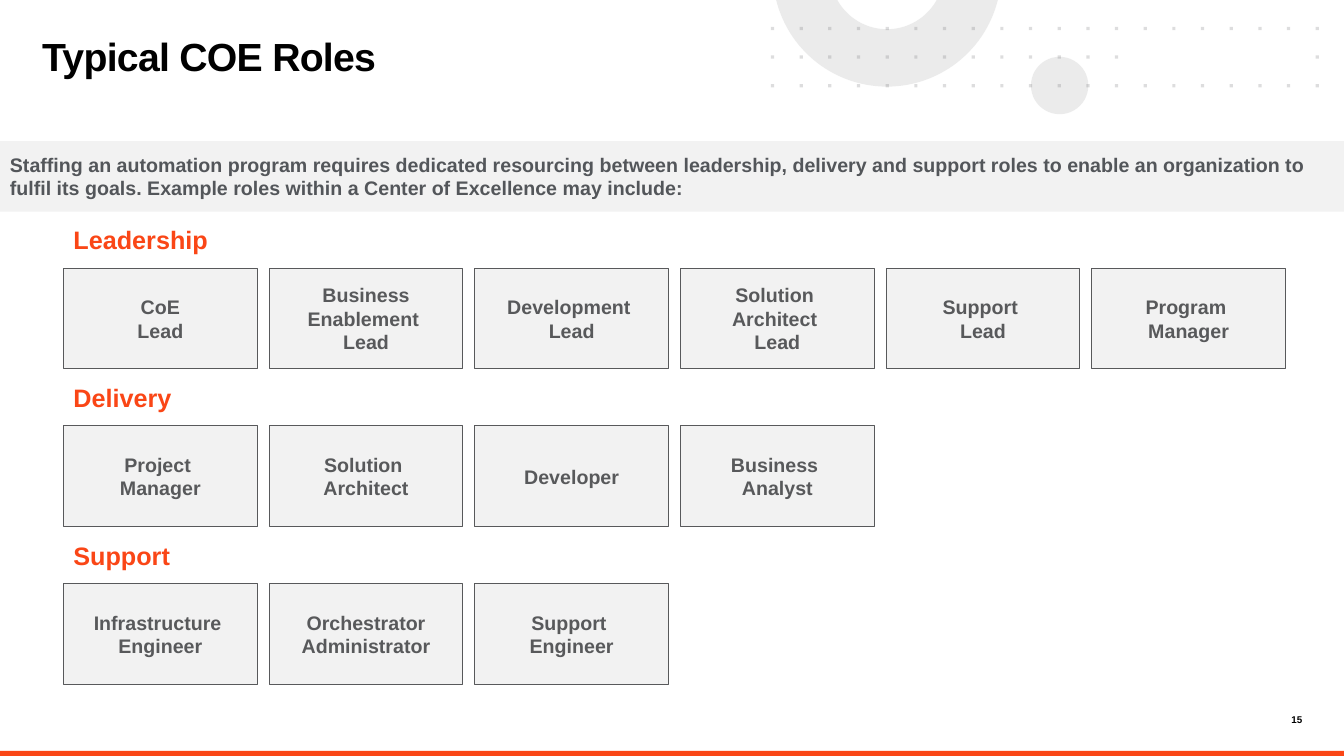
"""Build the slide of typical COE roles, grouped by leadership, delivery and support."""
import math

from lxml import etree
from pptx import Presentation, util as u
from pptx.dml.color import RGBColor
from pptx.enum import shapes, text
from pptx.oxml import ns

TITLE = "Typical COE Roles"
INTRO = (
    "Staffing an automation program requires dedicated resourcing between leadership, "
    "delivery and support roles to enable an organization to fulfil its goals. "
    "Example roles within a Center of Excellence may include:"
)
PAGE = "15"
TEAMS = {
    "Leadership": [
        ("CoE", "Lead"),
        ("Business Enablement ", "Lead"),
        ("Development ", "Lead"),
        ("Solution ", "Architect ", "Lead"),
        ("Support ", "Lead"),
        ("Program ", "Manager"),
    ],
    "Delivery": [
        ("Project ", "Manager"),
        ("Solution ", "Architect"),
        ("Developer",),
        ("Business ", "Analyst"),
    ],
    "Support": [
        ("Infrastructure ", "Engineer"),
        ("Orchestrator", "Administrator"),
        ("Support ", "Engineer"),
    ],
}
THEME = {
    "font": "Arial",
    "black": "000000", "orange": "FA4616", "panel": "F2F2F2",
    "gray": "58595B", "intro": "53565A", "decor": "D9D9D9",
    "title_size": 28, "heading_size": 18, "body_size": 14, "page_size": 7,
}
WIDTH, HEIGHT = 960, 540
LEFT, ROLE_W, ROLE_H, COLUMN_PITCH = 45.4, 138.3, 72, 146.9
TEAM_TOP, TEAM_PITCH, HEADING_H, ROLE_DROP = 157, 112.7, 29, 34.6
DOT_LEFT, DOT_TOP, DOT_PITCH, DOT_SIZE, DOT_COLUMNS = 550.7, 19.2, 20.48, 2.3, 20
DOT_GAP = range(13, 19)
RING_X, RING_Y, RING_OUTER, RING_INNER = 633.6, -19.7, 81.6, 40.6


def color(name):
    return RGBColor.from_string(THEME[name])


def paint(shape, fill, line=None, alpha=None):
    shape.shadow.inherit = False
    shape.fill.solid()
    shape.fill.fore_color.rgb = color(fill)
    if alpha:
        tint = shape.element.spPr.find(".//" + ns.qn("a:srgbClr"))
        etree.SubElement(tint, ns.qn("a:alpha")).set("val", str(alpha * 1000))
    if line:
        shape.line.color.rgb = color(line)
        shape.line.width = u.Pt(0.75)
    else:
        shape.line.fill.background()
    return shape


def write(shape, lines, size, ink, align="LEFT", anchor="TOP", inset=(0, 0), **spacing):
    frame = shape.text_frame
    across, down = map(u.Pt, inset)
    layout = {
        "word_wrap": True, "vertical_anchor": getattr(text.MSO_ANCHOR, anchor),
        "margin_left": across, "margin_right": across,
        "margin_top": down, "margin_bottom": down,
    }
    for key, value in layout.items():
        setattr(frame, key, value)
    frame.text = "\n".join(lines)
    face = {"name": THEME["font"], "size": u.Pt(THEME[size]), "bold": True}
    for paragraph in frame.paragraphs:
        for key, value in {"alignment": getattr(text.PP_ALIGN, align), **spacing}.items():
            setattr(paragraph, key, value)
        for run in paragraph.runs:
            for key, value in face.items():
                setattr(run.font, key, value)
            run.font.color.rgb = color(ink)
    return shape


def add_box(slide, *place, kind="RECTANGLE"):
    return slide.shapes.add_shape(getattr(shapes.MSO_SHAPE, kind), *map(u.Pt, place))


def add_label(slide, *place):
    return slide.shapes.add_textbox(*map(u.Pt, place))


def add_outline(slide, contours):
    scaled = [[(u.Pt(x), u.Pt(y)) for x, y in contour] for contour in contours]
    builder = slide.shapes.build_freeform(*scaled[0][0])
    for index, (start, *rest) in enumerate(scaled):
        if index:
            builder.move_to(*start)
        builder.add_line_segments(rest, close=True)
    return builder.convert_to_shape()


def arc(radius, steps=60):
    first = math.asin(-RING_Y / radius)
    angles = [first + (math.pi - 2 * first) * step / steps for step in range(steps + 1)]
    return [(RING_X + radius * math.cos(a), RING_Y + radius * math.sin(a)) for a in angles]


def dot(column, row):
    x, y = DOT_LEFT + column * DOT_PITCH, DOT_TOP + row * DOT_PITCH
    right, bottom = x + DOT_SIZE, y + DOT_SIZE
    return [(x, y), (right, y), (right, bottom), (x, bottom)]


def add_decor(slide):
    paint(add_box(slide, 0, 536.4, WIDTH, 3.6), "orange")
    paint(add_box(slide, 736.4, 40.6, 41, 41, kind="OVAL"), "decor", alpha=50)
    paint(add_outline(slide, [arc(RING_OUTER) + arc(RING_INNER)[::-1]]), "decor", alpha=50)
    dots = [dot(column, row) for row in range(3) for column in range(DOT_COLUMNS)
            if row != 1 or column not in DOT_GAP]
    paint(add_outline(slide, dots), "gray", alpha=20)


def add_team(slide, index, team, roles):
    top = TEAM_TOP + index * TEAM_PITCH
    write(add_label(slide, LEFT, top, 499, HEADING_H), [team],
          "heading_size", "orange", inset=(7.2, 3.6))
    for column, role in enumerate(roles):
        card = add_box(slide, LEFT + column * COLUMN_PITCH, top + ROLE_DROP, ROLE_W, ROLE_H)
        write(paint(card, "panel", "gray"), role, "body_size", "gray", "CENTER", "MIDDLE")


def main():
    deck = Presentation()
    deck.slide_width, deck.slide_height = u.Pt(WIDTH), u.Pt(HEIGHT)
    slide = deck.slides.add_slide(deck.slide_layouts[6])
    add_decor(slide)
    title = write(add_label(slide, 30.2, 28, 520.6, 54), [TITLE],
                  "title_size", "black", line_spacing=0.85)
    title.text_frame.paragraphs[0].runs[0].font._element.set("spc", "-50")
    write(paint(add_box(slide, 0, 100.8, WIDTH, 50.4), "panel"), [INTRO],
          "body_size", "intro", anchor="MIDDLE", inset=(7.2, 7.2), space_after=u.Pt(6))
    for index, (team, roles) in enumerate(TEAMS.items()):
        add_team(slide, index, team, roles)
    write(add_label(slide, 902.2, 509.8, 28, 9.4), [PAGE], "page_size", "black", "RIGHT")
    deck.save("out.pptx")


if __name__ == "__main__":
    main()
